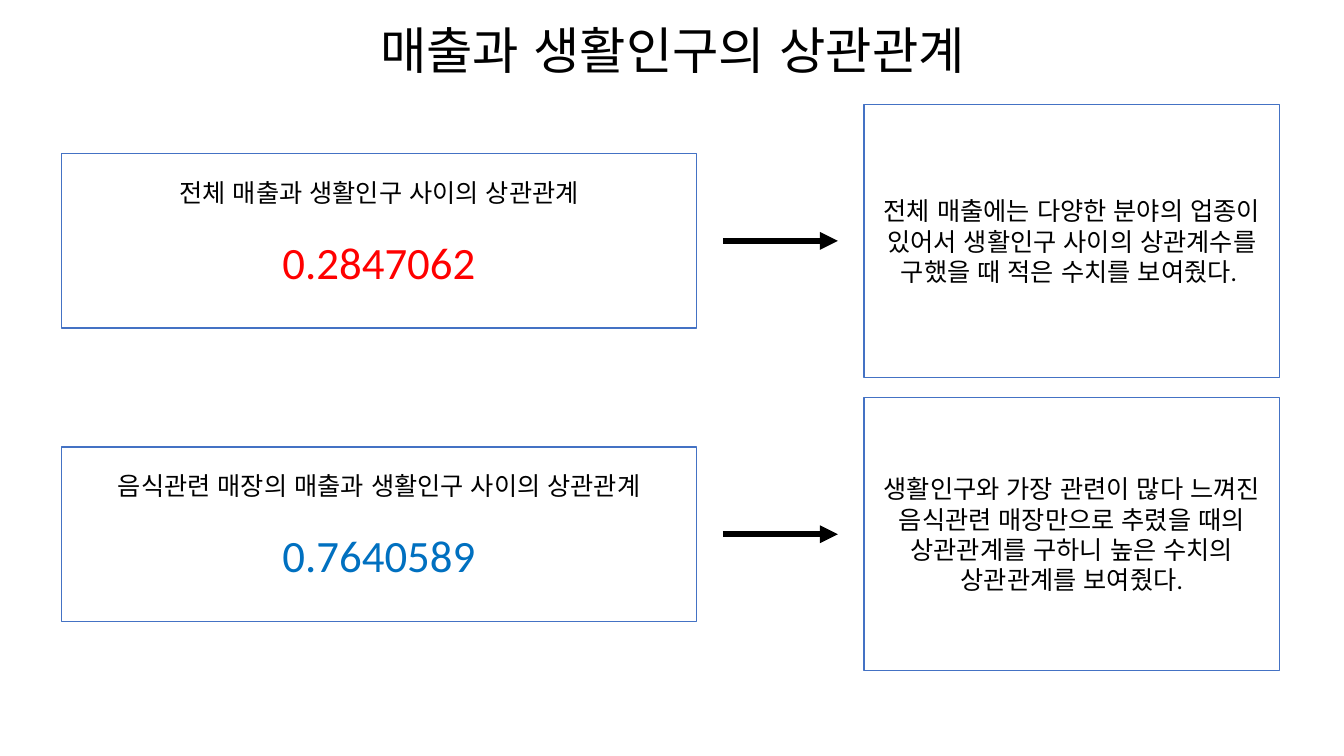
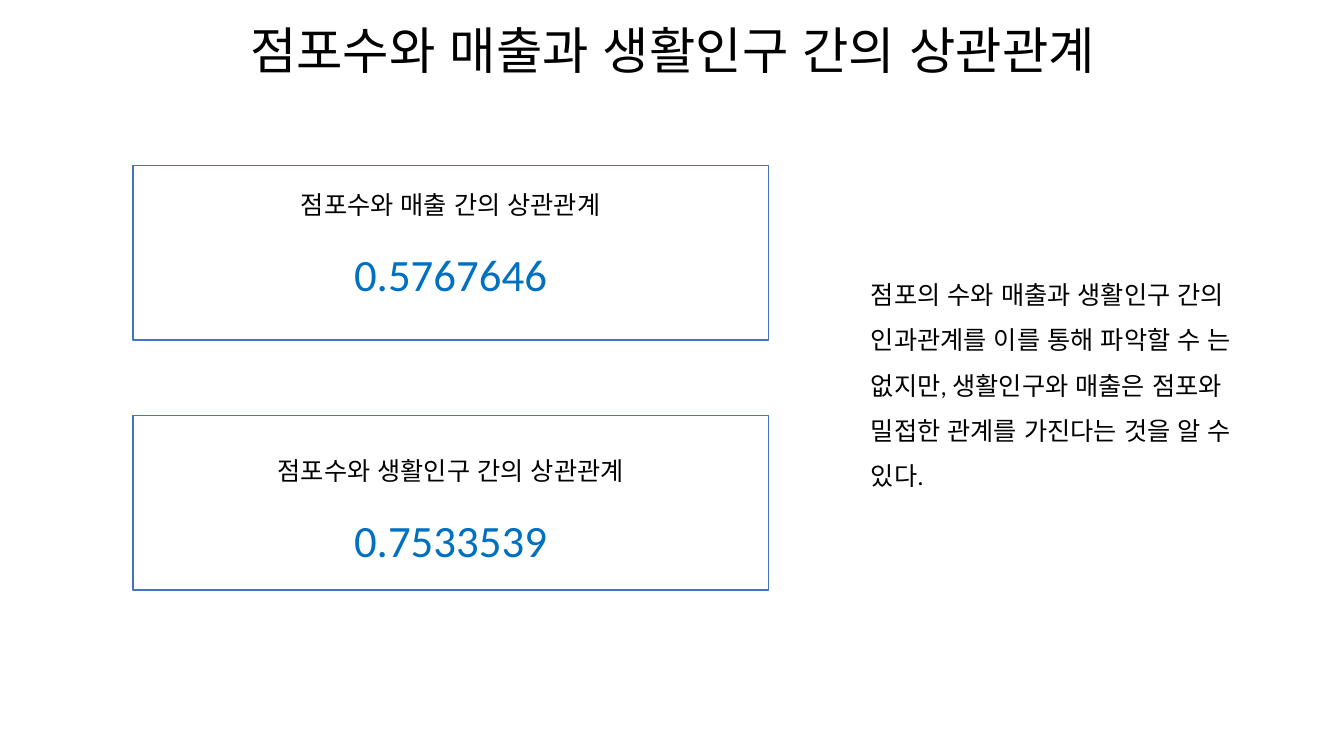
from lxml import etree
from pptx import Presentation
from pptx.dml.color import RGBColor
from pptx.enum.lang import MSO_LANGUAGE_ID
from pptx.enum.shapes import MSO_CONNECTOR, MSO_SHAPE
from pptx.enum.text import MSO_ANCHOR, MSO_AUTO_SIZE, PP_ALIGN
from pptx.oxml.ns import qn
from pptx.util import Inches, Pt

COLORS = {
    "text": "000000",
    "background": "FFFFFF",
    "border": "4472C4",
    "low": "FF0000",
    "high": "0070C0",
}
FONT = "Calibri"
RESULT_SIZE = (6.3, 1.73)
REASON_SIZE = (4.12, 2.71)
RAISED_INSET = 0.36
NORMAL_INSET = 0.05

SALES_TITLE = "매출과 생활인구의 상관관계"
SALES_LEFT, REASON_LEFT = 0.61, 8.57
ARROW_START, ARROW_END = 7.17, 8.31
SALES_ROWS = [
    (2.39, "전체 매출과 생활인구 사이의 상관관계", "0.2847062", "low",
     "전체 매출에는 다양한 분야의 업종이 있어서 생활인구 사이의 상관계수를 구했을 때 적은 수치를 보여줬다. "),
    (5.3, "음식관련 매장의 매출과 생활인구 사이의 상관관계", "0.7640589", "high",
     "생활인구와 가장 관련이 많다 느껴진 음식관련 매장만으로 추렸을 때의 상관관계를 구하니 높은 수치의 상관관계를 보여줬다."),
]

STORES_TITLE = "점포수와 매출과 생활인구 간의 상관관계"
STORES_LEFT = 1.32
STORES_ROWS = [
    (2.51, "점포수와 매출 간의 상관관계", "0.5767646", RAISED_INSET),
    (4.99, "점포수와 생활인구 간의 상관관계", "0.7533539", NORMAL_INSET),
]
CONCLUSION = (
    "점포의 수와 매출과 생활인구 간의 인과관계를 이를 통해 파악할 수 는 없지만, "
    "생활인구와 매출은 점포와 밀접한 관계를 가진다는 것을 알 수 있다."
)


def color(name):
    return RGBColor.from_string(COLORS[name])


def format_paragraph(paragraph, size, color_name="text", align=PP_ALIGN.CENTER, spacing=1.0):
    paragraph.alignment = align
    paragraph.line_spacing = spacing
    for run in paragraph.runs:
        run.font.name = FONT
        run.font.size = Pt(size)
        run.font.color.rgb = color(color_name)
        run.font.language_id = MSO_LANGUAGE_ID.KOREAN


def add_titled_slide(presentation, layout, title):
    slide = presentation.slides.add_slide(layout)
    slide.shapes.title.text_frame.text = title
    format_paragraph(slide.shapes.title.text_frame.paragraphs[0], 36, spacing=0.9)
    return slide


def add_box(slide, left, center, size, text):
    width, height = size
    box = slide.shapes.add_shape(
        MSO_SHAPE.RECTANGLE, Inches(left), Inches(center - height / 2), Inches(width), Inches(height))
    box.shadow.inherit = False
    box.fill.solid()
    box.fill.fore_color.rgb = color("background")
    box.line.color.rgb = color("border")
    box.line.width = Pt(1)
    box.text_frame.word_wrap = True
    box.text_frame.vertical_anchor = MSO_ANCHOR.MIDDLE
    box.text_frame.text = text
    return box.text_frame


def add_result(slide, left, center, label, value, value_color, bottom_inset):
    text_frame = add_box(slide, left, center, RESULT_SIZE, f"{label}\n{value}")
    text_frame.margin_bottom = Inches(bottom_inset)
    label_paragraph, value_paragraph = text_frame.paragraphs
    format_paragraph(label_paragraph, 18, spacing=1.5)
    format_paragraph(value_paragraph, 32, value_color, spacing=1.5)


def add_arrow(slide, center):
    arrow = slide.shapes.add_connector(
        MSO_CONNECTOR.STRAIGHT, Inches(ARROW_START), Inches(center), Inches(ARROW_END), Inches(center))
    arrow.line.color.rgb = color("text")
    arrow.line.width = Pt(4.25)
    etree.SubElement(arrow.line._get_or_add_ln(), qn("a:tailEnd"), type="triangle")
    etree.SubElement(arrow._element.spPr, qn("a:effectLst"))


def build_sales_slide(presentation, layout):
    slide = add_titled_slide(presentation, layout, SALES_TITLE)
    for center, label, value, value_color, reason in SALES_ROWS:
        add_result(slide, SALES_LEFT, center, label, value, value_color, RAISED_INSET)
        add_arrow(slide, center)
        text_frame = add_box(slide, REASON_LEFT, center, REASON_SIZE, reason)
        format_paragraph(text_frame.paragraphs[0], 18)


def build_stores_slide(presentation, layout):
    slide = add_titled_slide(presentation, layout, STORES_TITLE)
    for center, label, value, bottom_inset in STORES_ROWS:
        add_result(slide, STORES_LEFT, center, label, value, "high", bottom_inset)
    conclusion = slide.shapes.add_textbox(Inches(8.54), Inches(2.57), Inches(3.88), Inches(2.67))
    conclusion.text_frame.word_wrap = True
    conclusion.text_frame.text = CONCLUSION
    format_paragraph(conclusion.text_frame.paragraphs[0], 18, align=PP_ALIGN.LEFT, spacing=1.5)


def main():
    presentation = Presentation()
    presentation.slide_width = Inches(13.33)
    presentation.slide_height = Inches(7.5)
    layout = presentation.slide_layouts.get_by_name("Title Only")
    title = layout.placeholders[0]
    title.left, title.top = Inches(0.92), Inches(0.02)
    title.width, title.height = Inches(11.5), Inches(1.02)
    title.text_frame.vertical_anchor = MSO_ANCHOR.MIDDLE
    title.text_frame.auto_size = MSO_AUTO_SIZE.NONE
    build_sales_slide(presentation, layout)
    build_stores_slide(presentation, layout)
    presentation.save("out.pptx")


if __name__ == "__main__":
    main()
